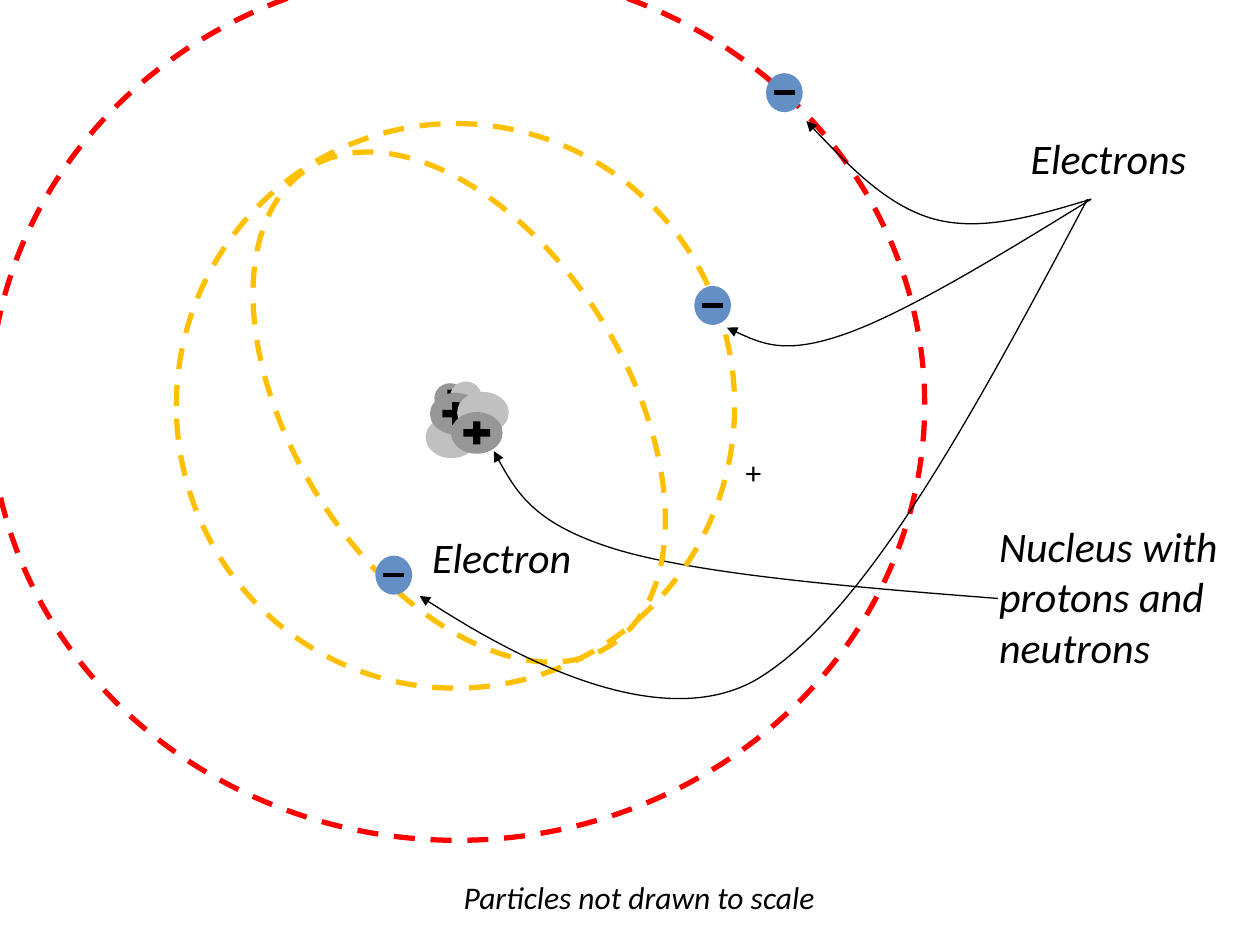
from dataclasses import dataclass
from itertools import chain

from lxml.etree import SubElement
from pptx import Presentation
from pptx.dml.color import RGBColor
from pptx.enum.dml import MSO_LINE
from pptx.enum.shapes import MSO_SHAPE
from pptx.enum.text import MSO_ANCHOR, MSO_AUTO_SIZE, PP_ALIGN
from pptx.oxml.ns import qn
from pptx.util import Pt


@dataclass(frozen=True)
class Theme:
    font: str = "Calibri"
    ink: RGBColor = RGBColor(0, 0, 0)
    neutron: RGBColor = RGBColor(0xC0, 0xC0, 0xC0)
    proton: RGBColor = RGBColor(0x96, 0x96, 0x96)
    electron: RGBColor = RGBColor(0x63, 0x8F, 0xC5)
    inner_orbit: RGBColor = RGBColor(0xFF, 0xC0, 0x00)
    outer_orbit: RGBColor = RGBColor(0xFF, 0, 0)
    label_size: int = 24
    note_size: int = 18
    orbit_width: float = 3
    arrow_width: float = 0.75


THEME = Theme()


def style_run(run, size, italic=False):
    run.font.name = THEME.font
    run.font.size = Pt(size)
    run.font.italic = italic
    run.font.color.rgb = THEME.ink


def add_solid(slide, preset, box, color):
    solid = slide.shapes.add_shape(preset, *map(Pt, box))
    solid.shadow.inherit = False
    solid.fill.solid()
    solid.fill.fore_color.rgb = color
    solid.line.fill.background()


def add_particle(slide, box, color, sign=None, sign_size=(0, 0)):
    add_solid(slide, MSO_SHAPE.OVAL, box, color)
    if sign:
        left, top, width, height = box
        sign_width, sign_height = sign_size
        sign_box = (left + (width - sign_width) / 2,
                    top + (height - sign_height) / 2, *sign_size)
        add_solid(slide, sign, sign_box, THEME.ink)


def add_orbit(slide, box, color, rotation=0):
    orbit = slide.shapes.add_shape(MSO_SHAPE.OVAL, *map(Pt, box))
    orbit.shadow.inherit = False
    orbit.fill.background()
    orbit.line.color.rgb = color
    orbit.line.width = Pt(THEME.orbit_width)
    orbit.line.dash_style = MSO_LINE.DASH
    orbit.rotation = rotation


def add_nucleus(slide, box):
    left, top = box
    layers = [
        ((18, 17.3), (12.2, 13.7), [(3, 11), (5, 1), (14, 0), (12, 9)]),
        ((29.5, 23.8), (20.9, 18), [(0, 20), (2.5, 6.5), (18, 6), (14.5, 17.5)]),
    ]
    for size, plus_size, offsets in layers:
        for index, (dx, dy) in enumerate(offsets):
            place = (left + dx, top + dy, *size)
            if index % 2:
                add_particle(slide, place, THEME.proton, MSO_SHAPE.MATH_PLUS, plus_size)
            else:
                add_particle(slide, place, THEME.neutron)


def add_electron(slide, left, top):
    add_particle(slide, (left, top, 21, 22.3), THEME.electron,
                 MSO_SHAPE.MATH_MINUS, (16.6, 10.8))


def add_curved_arrow(slide, tip, *bends):
    outline = slide.shapes.build_freeform(Pt(tip[0]), Pt(tip[1]))
    outline.add_line_segments([(Pt(x), Pt(y)) for x, y in chain(*bends)], close=False)
    arrow = outline.convert_to_shape()
    arrow.shadow.inherit = False
    arrow.fill.background()
    arrow.line.color.rgb = THEME.ink
    arrow.line.width = Pt(THEME.arrow_width)
    SubElement(arrow.line._get_or_add_ln(), qn("a:headEnd"), type="triangle")
    segments = list(arrow._element.iter(qn("a:lnTo")))
    track = segments[0].getparent()
    for start in range(0, len(segments), 3):
        curve = SubElement(track, qn("a:cubicBezTo"))
        for segment in segments[start:start + 3]:
            curve.append(segment[0])
            track.remove(segment)
    return arrow


def add_label(slide, box, words, size, wrap=False):
    label = slide.shapes.add_textbox(*map(Pt, box))
    frame = label.text_frame
    frame.word_wrap = wrap
    frame.auto_size = MSO_AUTO_SIZE.SHAPE_TO_FIT_TEXT
    frame.text = words
    style_run(frame.paragraphs[0].runs[0], size, italic=True)


def add_atom(slide, left, top):
    add_orbit(slide, (left + 172.8, top + 89.3, 190.8, 322.6), THEME.inner_orbit, 327.9)
    add_orbit(slide, (left + 106.6, top + 88.6, 319, 322.6), THEME.inner_orbit)
    add_orbit(slide, (left, top, 534.2, 498.2), THEME.outer_orbit)
    add_nucleus(slide, (left + 249, top + 236))
    for dx, dy in [(402.5, 181.4), (220.3, 335.5), (443.5, 59.8)]:
        add_electron(slide, left + dx, top + dy)


def add_labels(slide):
    add_label(slide, (563.8, 293.8, 185, 94.3), "Nucleus with protons and neutrons",
              THEME.label_size, wrap=True)
    add_label(slide, (581.8, 72, 104.4, 36), "Electrons", THEME.label_size)
    add_label(slide, (239.8, 300.2, 95, 36), "Electron", THEME.label_size)
    add_label(slide, (257.8, 498.2, 217.4, 28.8), "Particles not drawn to scale",
              THEME.note_size)


def add_pointers(slide):
    electrons = (623.5, 113.8)
    add_curved_arrow(slide, (460.8, 69.1),
                     [(483.8, 93.6), (507.6, 118.1), (534.2, 125.3)],
                     [(561.6, 132.5), (592.6, 123.1), electrons])
    add_curved_arrow(slide, (415.4, 187.2),
                     [(432, 195.1), (448.6, 203), (483.1, 190.8)],
                     [(517.7, 178.6), (571, 146.2), electrons])
    long_arrow = add_curved_arrow(slide, (239.8, 340.6),
                                  [(239.8, 340.6), (368.6, 425.5), (432.7, 388.1)],
                                  [(496.1, 349.9), (558.7, 231.8), (621.4, 113.8)])
    long_arrow.text_frame.text = "+"
    long_arrow.text_frame.vertical_anchor = MSO_ANCHOR.MIDDLE
    charge = long_arrow.text_frame.paragraphs[0]
    charge.alignment = PP_ALIGN.CENTER
    style_run(charge.runs[0], THEME.note_size)


def main():
    deck = Presentation()
    deck.slide_width, deck.slide_height = Pt(720), Pt(540)
    slide = deck.slides.add_slide(deck.slide_layouts[6])
    add_curved_arrow(slide, (282.2, 257.8),
                     [(293.8, 279.4), (306, 300.2), (354.2, 314.6)],
                     [(401.8, 328.3), (486, 335.5), (570.2, 342)])
    add_atom(slide, -5.8, -18)
    add_labels(slide)
    add_pointers(slide)
    deck.save("out.pptx")


if __name__ == "__main__":
    main()
